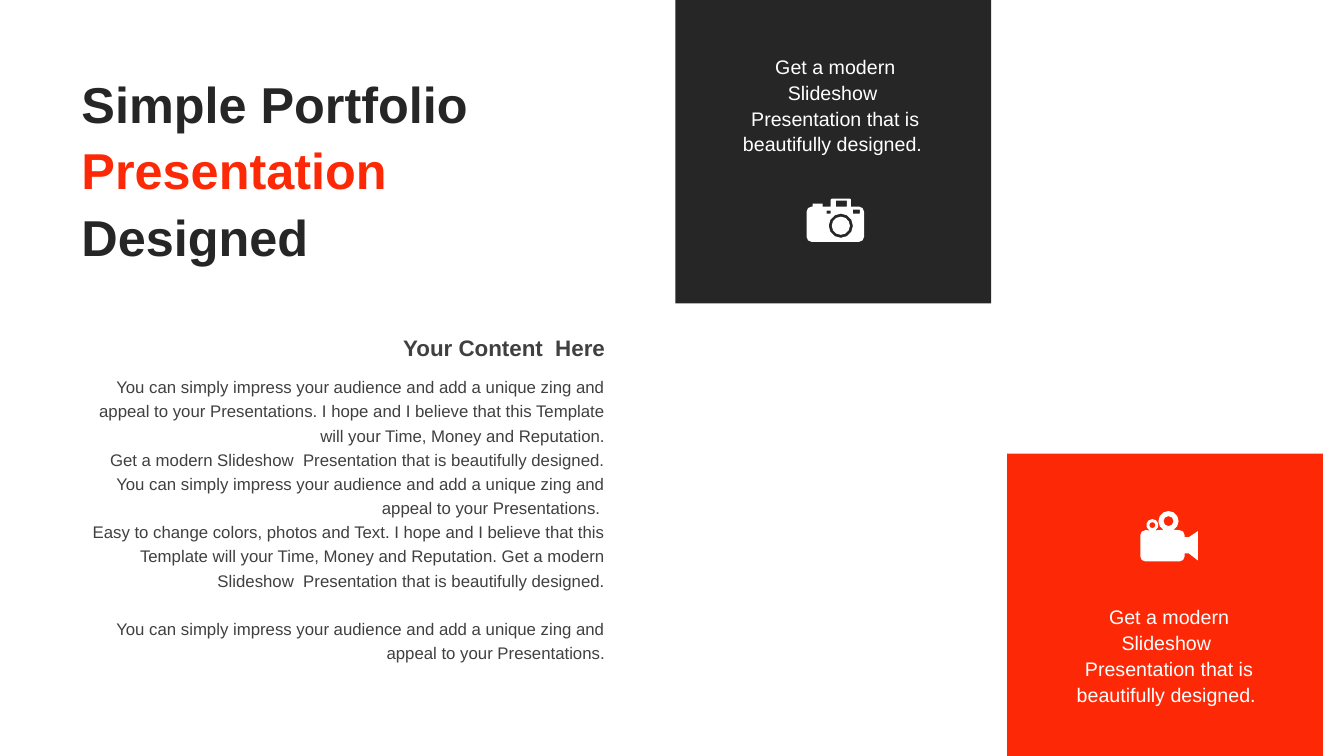
from dataclasses import dataclass
from math import cos, radians, sin

from pptx import Presentation
from pptx.dml.color import RGBColor
from pptx.enum.shapes import MSO_SHAPE
from pptx.enum.text import MSO_ANCHOR, PP_ALIGN
from pptx.util import Inches, Pt

RECT = MSO_SHAPE.RECTANGLE
MIDDLE = MSO_ANCHOR.MIDDLE
LEFT, CENTER, RIGHT = PP_ALIGN.LEFT, PP_ALIGN.CENTER, PP_ALIGN.RIGHT


@dataclass(frozen=True)
class Theme:
    font: str = "Arial"
    dark: RGBColor = RGBColor(0x26, 0x26, 0x26)
    accent: RGBColor = RGBColor(0xFD, 0x29, 0x06)
    gray: RGBColor = RGBColor(0x40, 0x40, 0x40)
    white: RGBColor = RGBColor(0xFF, 0xFF, 0xFF)
    title: Pt = Pt(36)
    heading: Pt = Pt(16)
    caption: Pt = Pt(14)
    body: Pt = Pt(12)


theme = Theme()


def add_text(shapes, box, lines, size, color, align, spacing=1.0, bold=False):
    """Add a wrapped text box with one paragraph per line and return its frame."""
    tf = shapes.add_textbox(*map(Inches, box)).text_frame
    tf.word_wrap = True
    tf.text = "\n".join(lines)
    for p in tf.paragraphs:
        p.alignment = align
        p.line_spacing = spacing
        for r in p.runs:
            r.font.name = theme.font
            r.font.size = size
            r.font.bold = bold
            r.font.color.rgb = color
    return tf


def arc(cx, cy, radius, start=0, end=330, steps=11):
    """Return points along an arc, by default a full ring, in degrees clockwise."""
    angles = [radians(start + (end - start) * i / steps) for i in range(steps + 1)]
    return [(cx + radius * cos(a), cy + radius * sin(a)) for a in angles]


prs = Presentation()
prs.slide_width, prs.slide_height = Inches(13.33), Inches(7.5)
s = prs.slides.add_slide(prs.slide_layouts[6])

# Tiles
for box, color in [
    ((9.99, 4.5, 3.13, 3), theme.accent),
    ((6.7, 0, 3.13, 3.01), theme.dark),
]:
    tile = s.shapes.add_shape(RECT, *map(Inches, box))
    tile.shadow.inherit = False
    tile.fill.solid()
    tile.fill.fore_color.rgb = color
    tile.line.fill.background()

# Title
tf = add_text(s.shapes, (0.71, 0.59, 4.42, 2.13), ["Simple Portfolio "],
              theme.title, theme.dark, LEFT, 1.1, True)
tf.vertical_anchor = MIDDLE
for words, color in [("Presentation ", theme.accent), ("Designed", theme.dark)]:
    r = tf.paragraphs[0].add_run()
    r.text = words
    r.font.name = theme.font
    r.font.size = theme.title
    r.font.bold = True
    r.font.color.rgb = color

# Content
content = s.shapes.add_group_shape().shapes
tf = add_text(content, (0.71, 3.65, 5.39, 3.01), [
    "You can simply impress your audience and add a unique zing and appeal to your "
    "Presentations. I hope and I believe that this Template will your Time, Money "
    "and Reputation.",
    "Get a modern Slideshow  Presentation that is beautifully designed. You can "
    "simply impress your audience and add a unique zing and appeal to your "
    "Presentations. ",
    "Easy to change colors, photos and Text. I hope and I believe that this Template "
    "will your Time, Money and Reputation. Get a modern Slideshow  Presentation that "
    "is beautifully designed.",
    "You can simply impress your audience and add a unique zing and appeal to your "
    "Presentations.",
], theme.body, theme.gray, RIGHT, 1.2)
tf.paragraphs[-1].space_before = Pt(17.4)
add_text(content, (0.71, 3.27, 5.39, 0.37), ["Your Content  Here"],
         theme.heading, theme.gray, RIGHT, bold=True)

# Tile captions
for left, top in [(7.26, 0.47), (10.57, 5.93)]:
    add_text(s.shapes, (left, top, 2.05, 1.14),
             ["Get a modern Slideshow  Presentation that is beautifully designed. "],
             theme.caption, theme.white, CENTER, 1.1)

# Icons: an outline first, then the contours cut into it
camera = [
    [(8.24, 2.05), (8.24, 1.98), (8.25, 1.97), (8.43, 1.97), (8.44, 1.98),
     (8.44, 2.05), *arc(8.52, 2.1, 0.05, 270, 360, 2),
     *arc(8.52, 2.35, 0.05, 0, 90, 2), *arc(8.05, 2.35, 0.05, 90, 180, 2),
     *arc(8.05, 2.1, 0.05, 180, 270, 2),
     (8.06, 2.05), (8.06, 2.02), (8.16, 2.02), (8.16, 2.05)],
    arc(8.34, 2.24, 0.12),
    arc(8.34, 2.24, 0.09),
]
for x1, y1, x2, y2 in [
    (8.2, 2.09, 8.24, 2.12),
    (8.46, 2.08, 8.53, 2.12),
    (8.29, 1.99, 8.4, 2.05),
]:
    camera.append([(x1, y1), (x1, y2), (x2, y2), (x2, y1)])

video = [
    [*arc(11.36, 5.31, 0.05, 180, 270, 2), *arc(11.43, 5.21, 0.06, 120, 420, 8),
     *arc(11.59, 5.17, 0.1, 120, 420, 10), *arc(11.7, 5.31, 0.05, 270, 360, 2),
     (11.75, 5.33), (11.79, 5.33), (11.88, 5.27), (11.88, 5.56),
     (11.79, 5.49), (11.75, 5.49),
     *arc(11.7, 5.52, 0.05, 0, 90, 2), *arc(11.36, 5.52, 0.05, 90, 180, 2)],
    arc(11.43, 5.21, 0.03, 0, 315, 7),
    arc(11.59, 5.17, 0.05, 0, 315, 7),
]

for contours in (camera, video):
    outline, *cuts = [[(Inches(x), Inches(y)) for x, y in c] for c in contours]
    builder = s.shapes.build_freeform(*outline[0])
    builder.add_line_segments(outline[1:], close=True)
    for cut in cuts:
        builder.move_to(*cut[0])
        builder.add_line_segments(cut[1:], close=True)
    icon = builder.convert_to_shape()
    icon.shadow.inherit = False
    icon.fill.solid()
    icon.fill.fore_color.rgb = theme.white
    icon.line.fill.background()

prs.save("out.pptx")
